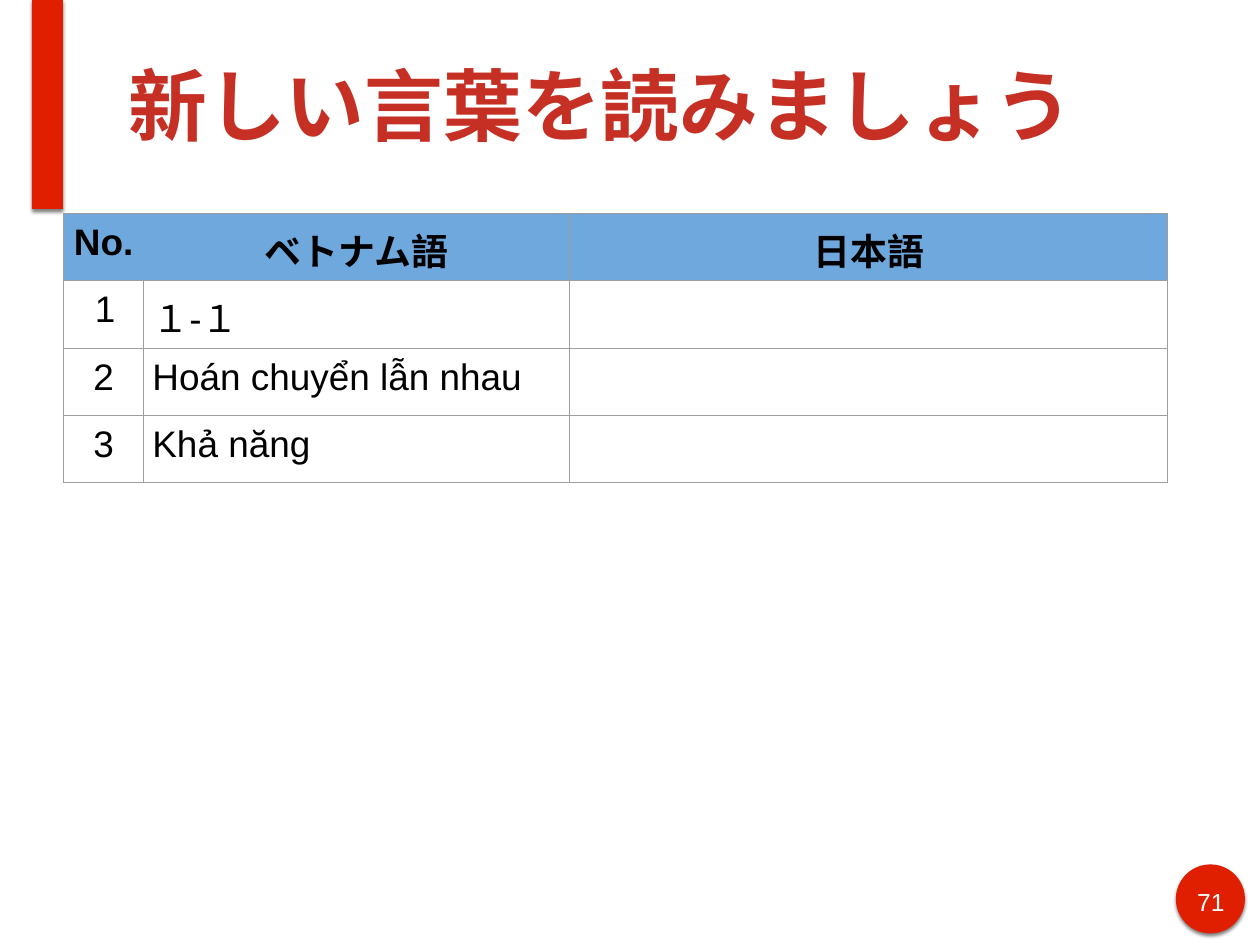
from lxml import etree
from pptx import Presentation
from pptx.dml.color import RGBColor as RGB
from pptx.enum.shapes import MSO_SHAPE as SHAPE
from pptx.enum.text import MSO_ANCHOR as ANCHOR, MSO_AUTO_SIZE as AUTO, PP_ALIGN as ALIGN
from pptx.oxml import parse_xml
from pptx.oxml.ns import nsdecls, qn
from pptx.util import Inches, Pt

COLORS = {"red": "DF1F00", "title": "C63024", "header": "6FA8DC",
          "grid": "9E9E9E", "black": "000000", "white": "FFFFFF"}


def write(tf, text, size=30, color="black", bold=False, align=ALIGN.LEFT, inset=0.1):
    """Put one formatted paragraph into a text frame and return it."""
    p = tf.paragraphs[0]
    p.alignment = align
    r = p.add_run()
    r.text = text
    r.font.name, r.font.size, r.font.bold = "Arial", Pt(size), bold
    r.font.color.rgb = RGB.from_string(COLORS[color])
    tf.margin_left = tf.margin_right = tf.margin_top = tf.margin_bottom = Inches(inset)
    return p


def add_border(cell, sides):
    """Draw thin grid lines on the named sides, and none on the others."""
    tc_pr = cell._tc.get_or_add_tcPr()
    for i, side in enumerate("LRTB"):
        ln = etree.Element(qn(f"a:ln{side}"), w=str(Pt(0.75)))
        if side in sides:
            fill = etree.SubElement(ln, qn("a:solidFill"))
            etree.SubElement(fill, qn("a:srgbClr"), val=COLORS["grid"])
        else:
            etree.SubElement(ln, qn("a:noFill"))
        tc_pr.insert(i, ln)


prs = Presentation()
prs.slide_width, prs.slide_height = Inches(14.22), Inches(10.67)
s = prs.slides.add_slide(prs.slide_layouts[5])

# Red bar and page number disc, both with a soft shadow
for kind, box in ((SHAPE.OVAL, (13.27, 9.76, 0.78, 0.78)),
                  (SHAPE.RECTANGLE, (0.36, 0, 0.35, 2.36))):
    sp = s.shapes.add_shape(kind, *map(Inches, box))
    sp.fill.solid()
    sp.fill.fore_color.rgb = RGB.from_string(COLORS["red"])
    sp.line.fill.background()
    sp._element.spPr.append(parse_xml(
        f'<a:effectLst {nsdecls("a")}>'
        f'<a:outerShdw blurRad="{Pt(3)}" dist="{Pt(2)}" dir="5400000" rotWithShape="0">'
        f'<a:srgbClr val="{COLORS["black"]}"><a:alpha val="50000"/></a:srgbClr>'
        '</a:outerShdw></a:effectLst>'))

# Page number
tb = s.shapes.add_textbox(*map(Inches, (13.42, 9.95, 0.49, 0.39)))
tb.text_frame.word_wrap = True
write(tb.text_frame, "71", size=20, color="white", align=ALIGN.CENTER, inset=0.06)

# Title
title = s.shapes.title
title.left, title.top, title.width, title.height = map(Inches, (1.39, 0.12, 12.14, 2.12))
tf = title.text_frame
tf.word_wrap, tf.auto_size, tf.vertical_anchor = True, AUTO.NONE, ANCHOR.MIDDLE
write(tf, "新しい言葉を読みましょう", size=64, color="title", bold=True, inset=0.06)

# Vocabulary table
rows = [("No.", "ベトナム語", "日本語"),
        ("1", "１-１", ""),
        ("2", "Hoán chuyển lẫn nhau", ""),
        ("3", "Khả năng", "")]
col_widths = (0.9, 4.81, 6.75)
table = s.shapes.add_table(len(rows), len(col_widths),
                           *map(Inches, (0.72, 2.41, 12.46, 3.04))).table
table.first_row = table.horz_banding = False
for col, width in zip(table.columns, col_widths):
    col.width = Inches(width)

for i, row in enumerate(rows):
    for j, text in enumerate(row):
        cell = table.cell(i, j)
        header = i == 0
        if header:
            cell.fill.solid()
            cell.fill.fore_color.rgb = RGB.from_string(COLORS["header"])
        else:
            cell.fill.background()
        # The first two header cells have no line between them
        add_border(cell, {(0, 0): "LTB", (0, 1): "RTB"}.get((i, j), "LRTB"))
        cell.margin_left = cell.margin_right = Inches(0.1)
        cell.margin_top = cell.margin_bottom = Inches(0.1)
        if text:
            numbered = text == "1"
            centred = header or (j == 0 and not numbered)
            p = write(cell.text_frame, text, bold=header,
                      align=ALIGN.CENTER if centred else ALIGN.LEFT)
            if numbered:
                p_pr = p._p.get_or_add_pPr()
                p_pr.set("marL", str(Inches(0.5)))
                p_pr.set("indent", str(Inches(-0.25)))

prs.save("out.pptx")
